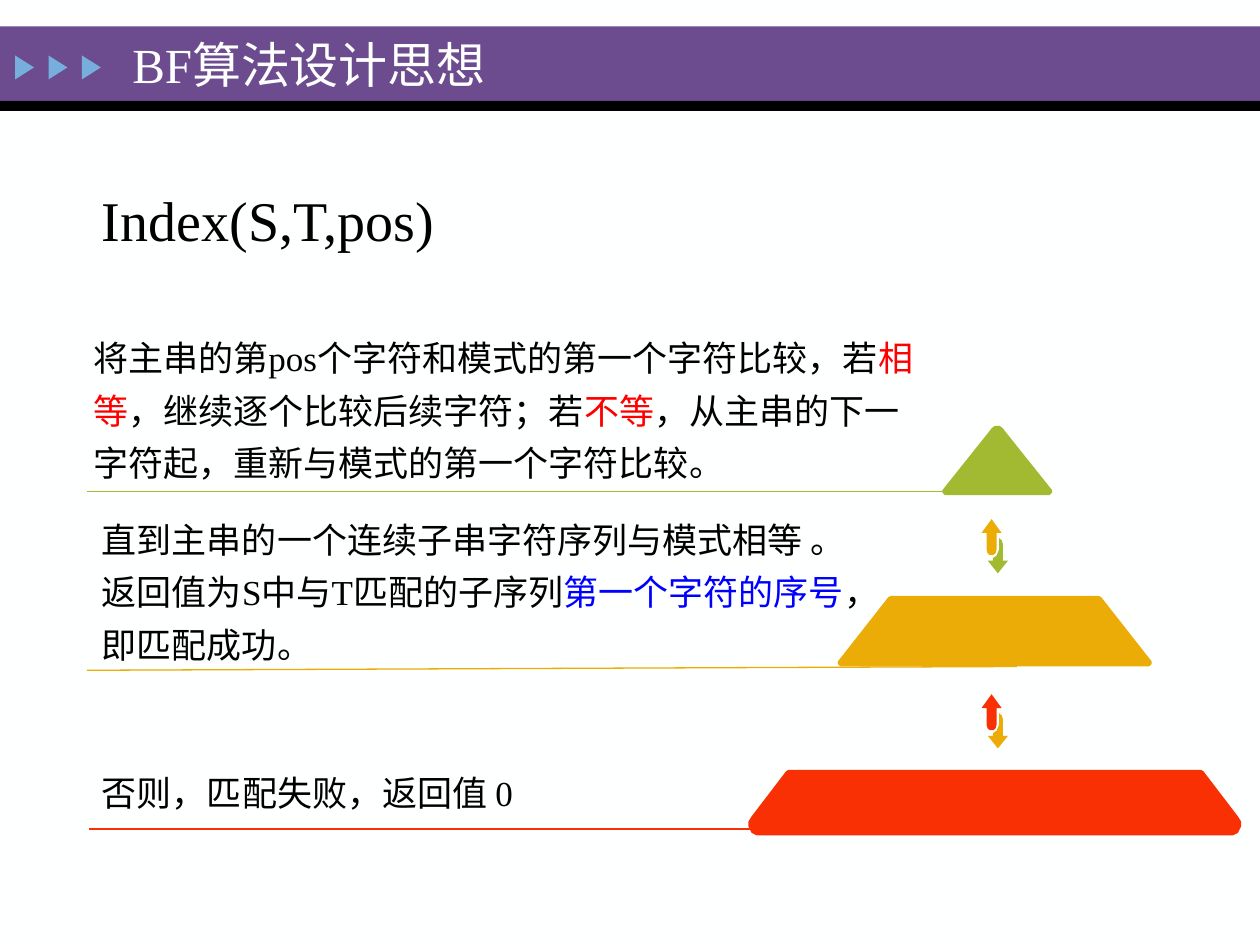
from dataclasses import dataclass
from typing import Any

import lxml.etree
import pptx
import pptx.dml.color
import pptx.enum.shapes
import pptx.enum.text
import pptx.oxml.ns
import pptx.util

COLUMNS, ROWS = 100, 75
CELL = pptx.util.Inches(10) // COLUMNS
FONT = "Times New Roman"
COLORS = {
    "paper": "FEFFFF",
    "band": "6C4C8F",
    "black": "000000",
    "marker": "76AEDD",
    "red": "FF0000",
    "blue": "0000FF",
    "green": "A2B932",
    "gold": "EBAC07",
    "flame": "F83003",
}
Point = tuple[float, float]
Run = tuple[str, str]


@dataclass
class Box:
    column: float
    row: float
    columns: float
    rows: float


@dataclass
class Tier:
    color: str
    center: float
    right_side: list[Point]


@dataclass
class Rule:
    color: str
    start: Point
    end: Point


@dataclass
class Caption:
    box: Box
    size: int
    spacing: float
    runs: list[Run]


UP_ARROW = [(1.2, 1.1), (1.6, 1.1), (0.8, 0), (0, 1.1), (0.4, 1.1), (0.4, 2.4),
            (0.48, 2.7), (0.65, 2.84), (0.95, 2.84), (1.12, 2.7), (1.2, 2.4)]
DOWN_ARROW = [(0.9, 0.9), (0.9, 0), (1.12, 0.2), (1.2, 0.5), (1.2, 1.8), (1.6, 1.8),
              (0.8, 2.8), (0, 1.8), (0.4, 1.8), (0.4, 1.6), (0.7, 1.4)]
ARROW_PAIRS = [(55.1, "flame", "gold"), (41.2, "gold", "green")]
TIERS = [
    Tier("green", 79.15, [(0.2, 33.8), (0.45, 34), (0.6, 34.2), (4.35, 38.9),
                          (4.35, 39.1), (4.15, 39.3)]),
    Tier("gold", 78.95, [(8.25, 47.3), (8.45, 47.4), (12.45, 52.5),
                         (12.45, 52.7), (12.25, 52.9)]),
    Tier("flame", 78.95, [(16.35, 61.1), (16.55, 61.2), (19.3, 64.8), (19.55, 65.2),
                          (19.55, 65.6), (19.3, 66.1), (18.9, 66.3)]),
]
RULES = [
    Rule("flame", (61.4, 65.8), (7.1, 65.8)),
    Rule("green", (79, 39), (6.9, 39)),
    Rule("gold", (80.7, 52.9), (6.9, 53.2)),
]
CAPTIONS = [
    Caption(Box(7.1, 14.2, 33.1, 6.3), 32, 1, [("Index(S,T,pos)", "black")]),
    Caption(Box(6.4, 25.4, 67.1, 13.6), 20, 1.25, [
        ("将主串的第pos个字符和模式的第一个字符比较，若", "black"),
        ("相等", "red"),
        ("，继续逐个比较后续字符；若", "black"),
        ("不等", "red"),
        ("，从主串的下一字符起，重新与模式的第一个字符比较。", "black"),
    ]),
    Caption(Box(7.1, 39.8, 61, 13.6), 20, 1.25, [
        ("直到主串的一个连续子串字符序列与模式相等 。返回值为S中与T匹配的子序列", "black"),
        ("第一个字符的序号", "blue"),
        ("，即匹配成功。", "black"),
    ]),
    Caption(Box(7.1, 60.7, 45.8, 4.4), 20, 1, [("否则，匹配失败，返回值 0", "black")]),
]


def cells(count: float) -> int:
    return round(count * CELL)


def rgb(name: str) -> pptx.dml.color.RGBColor:
    return pptx.dml.color.RGBColor.from_string(COLORS[name])


def apply_format(target: Any, values: dict[str, Any]) -> None:
    for name, value in values.items():
        setattr(target, name, value)


def place(shape: Any, box: Box) -> None:
    apply_format(shape, {"left": cells(box.column), "top": cells(box.row),
                         "width": cells(box.columns), "height": cells(box.rows)})


def paint(shape: Any, color: str) -> None:
    shape.shadow.inherit = False
    shape.fill.solid()
    shape.fill.fore_color.rgb = rgb(color)
    shape.line.fill.background()


def draw_preset(slide: Any, kind: Any, box: Box, color: str, rotation: float = 0) -> None:
    shape = slide.shapes.add_shape(kind, 0, 0, CELL, CELL)
    place(shape, box)
    shape.rotation = rotation
    paint(shape, color)


def draw_outline(slide: Any, points: list[Point], color: str) -> None:
    vertices = [(round(x * 100), round(y * 100)) for x, y in points]
    builder = slide.shapes.build_freeform(*vertices[0], scale=CELL / 100)
    builder.add_line_segments(vertices[1:], close=True)
    paint(builder.convert_to_shape(), color)


def draw_arrow(slide: Any, outline: list[Point], column: float, row: float, color: str) -> None:
    draw_outline(slide, [(column + x, row + y) for x, y in outline], color)


def draw_tier(slide: Any, tier: Tier) -> None:
    right = [(tier.center + x, y) for x, y in tier.right_side]
    left = [(tier.center - x, y) for x, y in reversed(tier.right_side)]
    draw_outline(slide, right + left, tier.color)


def draw_rule(slide: Any, rule: Rule) -> None:
    connector = slide.shapes.add_connector(
        pptx.enum.shapes.MSO_CONNECTOR.STRAIGHT,
        *map(cells, rule.start + rule.end))
    connector.line.color.rgb = rgb(rule.color)
    connector.line.width = pptx.util.Pt(0.75)
    properties = connector.element.spPr
    lxml.etree.SubElement(properties, pptx.oxml.ns.qn("a:effectLst"))


def write(shape: Any, runs: list[Run], size: int, spacing: float, frame_format: dict[str, Any]) -> None:
    apply_format(shape.text_frame, {"word_wrap": True, **frame_format})
    paragraph = shape.text_frame.paragraphs[0]
    apply_format(paragraph, {"alignment": pptx.enum.text.PP_ALIGN.LEFT,
                             "line_spacing": spacing})
    for text, color in runs:
        run = paragraph.add_run()
        run.text = text
        apply_format(run.font, {"name": FONT, "size": pptx.util.Pt(size)})
        run.font.color.rgb = rgb(color)


def draw_caption(slide: Any, caption: Caption) -> None:
    shape = slide.shapes.add_textbox(0, 0, CELL, CELL)
    place(shape, caption.box)
    write(shape, caption.runs, caption.size, caption.spacing,
          {"auto_size": pptx.enum.text.MSO_AUTO_SIZE.SHAPE_TO_FIT_TEXT})


def draw_header(slide: Any) -> None:
    kinds = pptx.enum.shapes.MSO_SHAPE
    draw_preset(slide, kinds.RECTANGLE, Box(0, 2.1, COLUMNS, 5.9), "band")
    draw_preset(slide, kinds.RECTANGLE, Box(0, 8, COLUMNS, 0.8), "black")
    for index in range(3):
        draw_preset(slide, kinds.ISOSCELES_TRIANGLE,
                    Box(1 + 2.65 * index, 4.6, 1.9, 1.5), "marker", 90)
    title = slide.shapes.title
    title.element.getparent().append(title.element)
    place(title, Box(9.5, 2.3, 38.5, 5.6))
    write(title, [("BF算法设计思想", "paper")], 28, 1,
          {"auto_size": pptx.enum.text.MSO_AUTO_SIZE.NONE,
           "vertical_anchor": pptx.enum.text.MSO_ANCHOR.MIDDLE})


def main() -> None:
    presentation = pptx.Presentation()
    apply_format(presentation, {"slide_width": cells(COLUMNS), "slide_height": cells(ROWS)})
    slide = presentation.slides.add_slide(presentation.slide_layouts.get_by_name("Title Only"))
    slide.background.fill.solid()
    slide.background.fill.fore_color.rgb = rgb("paper")
    draw_header(slide)
    for row, up_color, down_color in ARROW_PAIRS:
        draw_arrow(slide, UP_ARROW, 77.9, row, up_color)
        draw_arrow(slide, DOWN_ARROW, 78.4, row + 1.5, down_color)
    for tier in TIERS:
        draw_tier(slide, tier)
    for rule in RULES:
        draw_rule(slide, rule)
    for caption in CAPTIONS:
        draw_caption(slide, caption)
    presentation.save("out.pptx")


if __name__ == "__main__":
    main()
